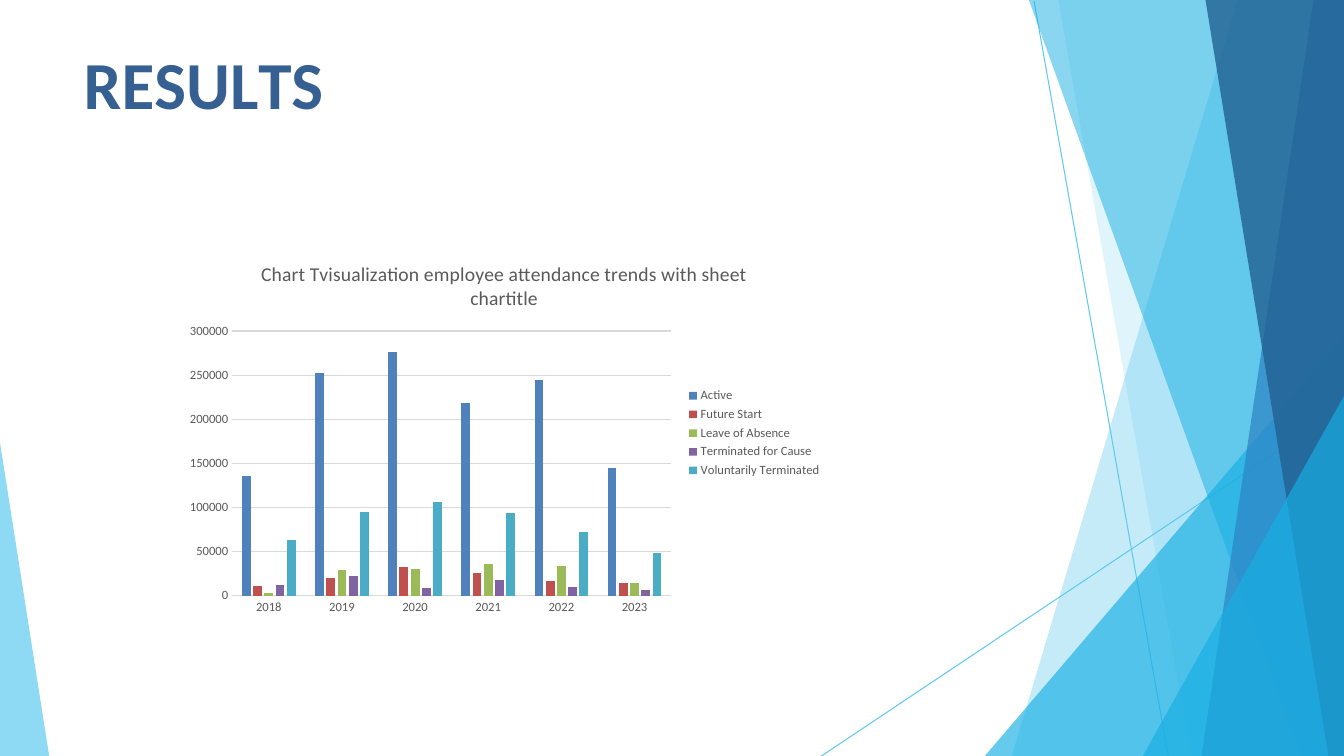
"""Build the results slide: faceted backdrop, title and employee status chart."""
from dataclasses import dataclass

from lxml import etree
from pptx import Presentation, util as u
from pptx.chart.data import CategoryChartData
from pptx.dml.color import RGBColor
from pptx.enum import chart as ch, shapes, text
from pptx.oxml.ns import qn

WIDTH, HEIGHT = 33.87, 19.05
FONT = "Calibri"
COLORS = {
    "sky": "5FCAEE", "cyan": "17AFE3", "blue": "2D83C3", "navy": "226192",
    "title": "376092", "label": "595959", "grid": "D9D9D9",
    "active": "4F81BD", "future": "C0504D", "leave": "9BBB59",
    "cause": "8064A2", "voluntary": "4BACC6",
}


@dataclass(frozen=True)
class Facet:
    points: tuple[tuple[float, float], ...]
    color: str
    opacity: int


@dataclass(frozen=True)
class Ray:
    start: tuple[float, float]
    end: tuple[float, float]


@dataclass(frozen=True)
class Status:
    name: str
    color: str
    values: tuple[int, ...]


def right_band(top: float, bottom: float, color: str, opacity: int) -> Facet:
    return Facet(((WIDTH, 0), (top, 0), (bottom, HEIGHT), (WIDTH, HEIGHT)), color, opacity)


def right_corner(top: float, left: float, color: str, opacity: int) -> Facet:
    return Facet(((WIDTH, top), (left, HEIGHT), (WIDTH, HEIGHT)), color, opacity)


RAYS = (
    Ray((26.06, 0.03), (29.44, HEIGHT)),
    Ray((WIDTH, 10.26), (20.7, HEIGHT)),
)
FACETS = (
    right_band(31.19, 25.5, "sky", 36),
    right_band(26.67, 30.02, "sky", 20),
    right_corner(8.46, 24.82, "cyan", 66),
    right_band(25.93, 32.79, "cyan", 50),
    right_band(33.1, 30.28, "blue", 70),
    right_band(30.38, 33.48, "navy", 80),
    right_corner(9.98, 28.8, "cyan", 66),
    Facet(((0, 11.15), (0, HEIGHT), (1.24, HEIGHT)), "sky", 70),
)
TITLE_SPANS = (("R", 0), ("E", -0.4), ("S", 0.1), ("U", -0.3), ("L", -4), ("TS", 0))
YEARS = ("2018", "2019", "2020", "2021", "2022", "2023")
STATUSES = (
    Status("Active", "active", (136000, 252000, 276000, 218000, 244000, 145000)),
    Status("Future Start", "future", (11000, 20000, 33000, 26000, 17000, 14000)),
    Status("Leave of Absence", "leave", (3000, 29000, 30000, 36000, 34000, 14000)),
    Status("Terminated for Cause", "cause", (12000, 22000, 9000, 18000, 10000, 6000)),
    Status("Voluntarily Terminated", "voluntary", (63000, 95000, 106000, 94000, 72000, 48000)),
)
PLOT_PERCENT = {"x": 8.5, "y": 23, "w": 67, "h": 70}


def rgb(name: str) -> RGBColor:
    return RGBColor.from_string(COLORS[name])


def style_font(font, size: float, color: str, bold: bool = False) -> None:
    font.name, font.size, font.bold = FONT, u.Pt(size), bold
    font.color.rgb = rgb(color)


def style_line(line, color: str) -> None:
    line.color.rgb = rgb(color)
    line.width = u.Pt(0.75)


def draw_ray(page, ray: Ray) -> None:
    ends = [u.Cm(value) for value in ray.start + ray.end]
    connector = page.shapes.add_connector(shapes.MSO_CONNECTOR.STRAIGHT, *ends)
    style_line(connector.line, "sky")
    etree.SubElement(connector._element.spPr, qn("a:effectLst"))


def draw_facet(page, facet: Facet) -> None:
    first, *rest = [(u.Cm(x), u.Cm(y)) for x, y in facet.points]
    builder = page.shapes.build_freeform(*first)
    builder.add_line_segments(rest, close=True)
    shape = builder.convert_to_shape()
    shape.shadow.inherit = False
    shape.line.fill.background()
    shape.fill.solid()
    shape.fill.fore_color.rgb = rgb(facet.color)
    color = shape._element.spPr.find(qn("a:solidFill"))[0]
    etree.SubElement(color, qn("a:alpha"), val=str(facet.opacity * 1000))


def draw_title(page) -> None:
    box = page.shapes.add_textbox(u.Cm(2.11), u.Cm(1.07), u.Cm(29.67), u.Cm(2.11))
    frame = box.text_frame
    frame.word_wrap = True
    frame.auto_size = text.MSO_AUTO_SIZE.SHAPE_TO_FIT_TEXT
    frame.margin_left = frame.margin_right = frame.margin_top = frame.margin_bottom = 0
    para = frame.paragraphs[0]
    for letters, spacing in TITLE_SPANS:
        span = para.add_run()
        span.text = letters
        style_font(span.font, 48, "title", bold=True)
        span._r.get_or_add_rPr().set("spc", str(round(spacing * 100)))


def place_plot(chart) -> None:
    area = chart._chartSpace.chart.plotArea
    layout = area.find(qn("c:layout"))
    if layout is None:
        layout = etree.Element(qn("c:layout"))
        area.insert(0, layout)
    manual = etree.SubElement(layout, qn("c:manualLayout"))
    settings = {"layoutTarget": "inner", "xMode": "edge", "yMode": "edge"}
    settings |= {tag: str(percent / 100) for tag, percent in PLOT_PERCENT.items()}
    for tag, value in settings.items():
        etree.SubElement(manual, qn(f"c:{tag}"), val=value)


def draw_chart(page) -> None:
    data = CategoryChartData(number_format="General")
    data.categories = YEARS
    for status in STATUSES:
        data.add_series(status.name, status.values)
    chart = page.shapes.add_chart(
        ch.XL_CHART_TYPE.COLUMN_CLUSTERED,
        u.Cm(4.45), u.Cm(6.15), u.Cm(16.51), u.Cm(9.53), data).chart
    chart.font.name, chart.font.size = FONT, u.Pt(10)

    chart.has_title = True
    span = chart.chart_title.text_frame.paragraphs[0].add_run()
    span.text = "Chart Tvisualization employee attendance trends with sheet chartitle"
    style_font(span.font, 14, "label")
    chart.chart_title.include_in_layout = False

    chart.has_legend = True
    chart.legend.position = ch.XL_LEGEND_POSITION.RIGHT
    chart.legend.include_in_layout = False
    style_font(chart.legend.font, 9, "label")

    for axis in (chart.category_axis, chart.value_axis):
        axis.major_tick_mark = axis.minor_tick_mark = ch.XL_TICK_MARK.NONE
        style_font(axis.tick_labels.font, 9, "label")
    style_line(chart.category_axis.format.line, "grid")
    values = chart.value_axis
    values.format.line.fill.background()
    values.minimum_scale, values.maximum_scale, values.major_unit = 0, 300000, 50000
    style_line(values.major_gridlines.format.line, "grid")

    plot = chart.plots[0]
    plot.gap_width, plot.overlap, plot.vary_by_categories = 219, -27, False
    for series, status in zip(plot.series, STATUSES):
        series.format.fill.solid()
        series.format.fill.fore_color.rgb = rgb(status.color)
    place_plot(chart)


def main() -> None:
    deck = Presentation()
    deck.slide_width, deck.slide_height = u.Cm(WIDTH), u.Cm(HEIGHT)
    page = deck.slides.add_slide(deck.slide_layouts[6])
    for ray in RAYS:
        draw_ray(page, ray)
    for facet in FACETS:
        draw_facet(page, facet)
    draw_title(page)
    draw_chart(page)
    deck.save("out.pptx")


if __name__ == "__main__":
    main()
